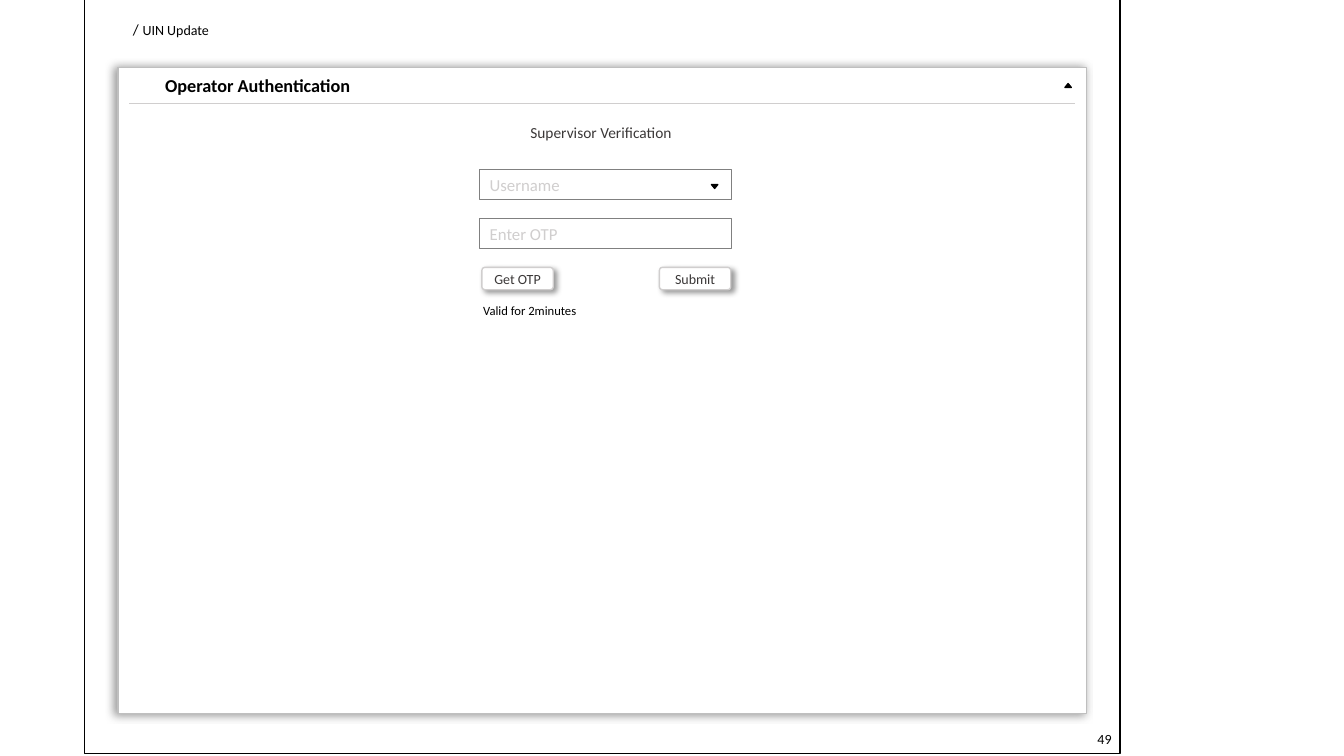
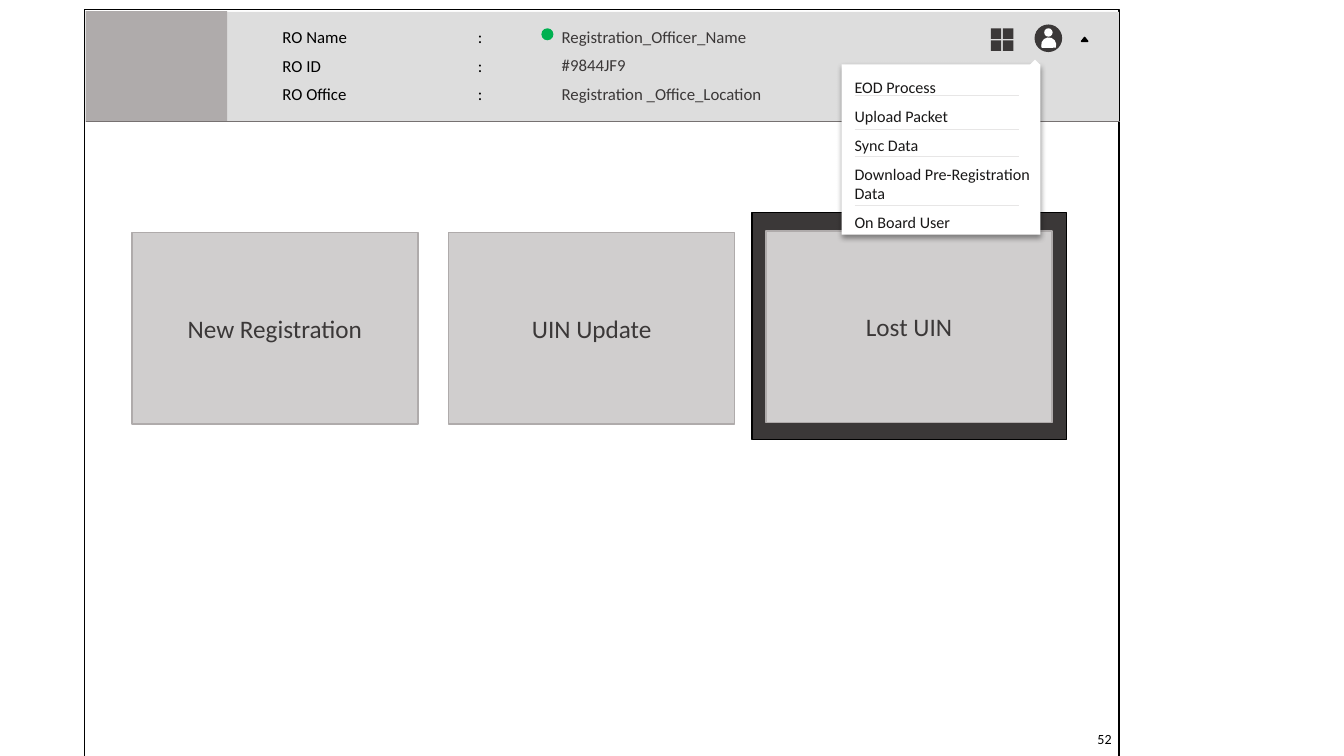
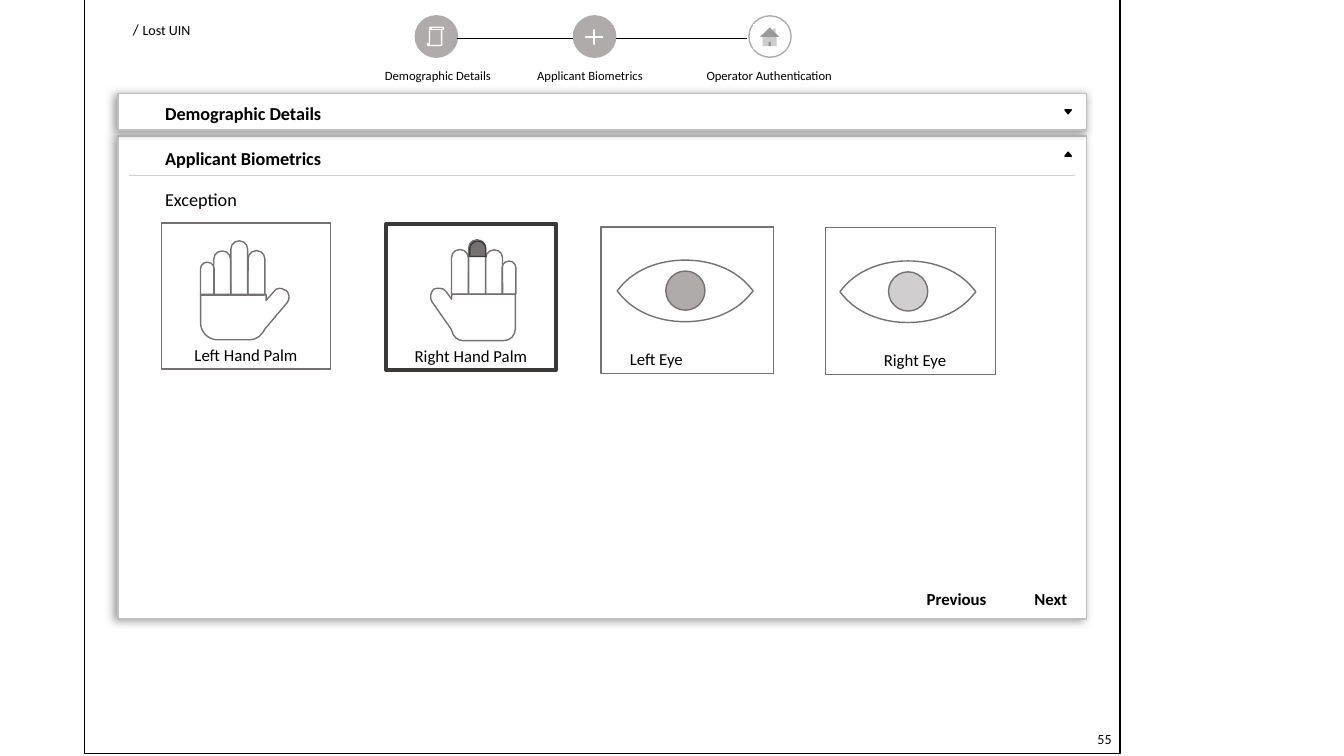
import pptx
import pptx.util
import pptx.dml.color
import pptx.enum.shapes
import pptx.enum.text
import pptx.oxml.ns
import lxml.etree

Pt = pptx.util.Pt
SHAPE = pptx.enum.shapes.MSO_SHAPE
ALIGN = pptx.enum.text.PP_ALIGN
ANCHOR = pptx.enum.text.MSO_ANCHOR
FIT = pptx.enum.text.MSO_AUTO_SIZE
qn = pptx.oxml.ns.qn

FONT = "Calibri"
HEX = {
    "black": "000000", "white": "FFFFFF", "ink": "3B3838", "menu": "181717",
    "stone": "767171", "mid": "AFABAB", "pale": "D0CECE", "edge": "BFBFBF",
    "field": "808080", "band": "DDDDDD", "rule": "E7E6E6", "green": "00B050",
}
SHADE = {
    "panel": ("808080", 80, 6, 2, 170),
    "button": ("000000", 40, 4, 3, 45),
    "menu": ("000000", 40, 4, 2, 90),
}

LEFT_PALM = [
    (84.2, 46.8), (85.7, 46.8, 87.1, 46.8, 88.6, 48.2), (89.3, 48.2),
    (91.4, 50.4, 92.2, 54, 90, 56.9), (74.2, 75.6),
    (72, 79.9, 68.4, 83.5, 63.4, 83.5), (39.6, 83.5),
    (33.1, 83, 28.1, 78, 28.1, 71.3), (28.1, 51.1), (74.9, 51.1),
    (74.9, 55.4), (80.6, 49), (81.4, 47.5, 82.8, 46.8, 84.2, 46.8),
]
RIGHT_PALM = [
    (38.2, 46.1), (39.6, 46.1, 41.8, 46.8, 42.5, 48.2), (46.8, 54),
    (46.8, 50.4), (92.2, 50.4), (92.2, 74.9),
    (92.2, 79.9, 88.6, 83.5, 84.2, 83.5), (54.7, 83.5),
    (51.1, 83.5, 47.5, 80.6, 46.8, 76.3), (46.1, 74.9), (32.4, 55.4),
    (31, 52.6, 31.7, 49, 33.8, 46.8), (35.3, 46.1, 36.7, 46.1, 38.2, 46.1),
]
LIDS = [
    (48.6, 0), (68, 0, 85, 7.2, 95, 19.4), (97.2, 22), (95, 24.6),
    (85, 36.8, 68, 44, 48.6, 44), (29.2, 44, 12.2, 36.8, 2.2, 24.6),
    (0, 22), (2.2, 19.4), (12.2, 7.2, 29.2, 0, 48.6, 0),
]


def rgb(name):
    """Return a named colour."""
    return pptx.dml.color.RGBColor.from_string(HEX[name])


def paint(shape, fill, line, width):
    """Set fill and outline, and drop the theme shadow."""
    if fill:
        shape.fill.solid()
        shape.fill.fore_color.rgb = rgb(fill)
    else:
        shape.fill.background()
    if line:
        shape.line.color.rgb = rgb(line)
        shape.line.width = Pt(width)
    else:
        shape.line.fill.background()
    shape.shadow.inherit = False


def shade(shape, name):
    """Give a shape one of the shared shadows."""
    tint, alpha, blur, dist, angle = SHADE[name]
    host = shape.element.spPr.find(qn("a:effectLst"))
    cast = lxml.etree.SubElement(
        host, qn("a:outerShdw"), blurRad=str(Pt(blur)), dist=str(Pt(dist)),
        dir=str(angle * 60000), algn="ctr", rotWithShape="0")
    color = lxml.etree.SubElement(cast, qn("a:srgbClr"), val=tint)
    lxml.etree.SubElement(color, qn("a:alpha"), val=str(alpha * 1000))


def draw(slide, kind, box, fill=None, line=None, width=1, turn=0, adjust=(), cast=None):
    """Add a preset shape."""
    shape = slide.shapes.add_shape(kind, *map(Pt, box))
    paint(shape, fill, line, width)
    shape.rotation = turn
    for i, value in enumerate(adjust):
        shape.adjustments[i] = value
    if cast:
        shade(shape, cast)
    return shape


def trace(slide, left, top, steps, line):
    """Draw a closed outline of lines and true curves from a corner."""
    spots = [(Pt(left + x), Pt(top + y))
             for step in steps for x, y in zip(step[::2], step[1::2])]
    pen = slide.shapes.build_freeform(*spots[0])
    pen.add_line_segments(spots[1:], close=True)
    shape = pen.convert_to_shape()
    paint(shape, None, line, 1)
    marks = iter(list(shape.element.spPr.iter(qn("a:lnTo"))))
    for step in steps[1:]:
        mark = next(marks)
        if len(step) == 6:
            curve = lxml.etree.Element(qn("a:cubicBezTo"))
            mark.addprevious(curve)
            for part in (mark, next(marks), next(marks)):
                curve.append(part[0])
                part.getparent().remove(part)


def rule(slide, x1, x2, y, color):
    """Add a thin level line."""
    line = slide.shapes.add_connector(
        pptx.enum.shapes.MSO_CONNECTOR.STRAIGHT, Pt(x1), Pt(y), Pt(x2), Pt(y))
    line.line.color.rgb = rgb(color)
    line.line.width = Pt(0.5)
    lxml.etree.SubElement(line.element.spPr, qn("a:effectLst"))


def write(part, words, size, color="black", bold=False):
    """Add one run to a paragraph."""
    run = part.add_run()
    run.text = words
    run.font.name = FONT
    run.font.size = Pt(size)
    run.font.bold = bold
    run.font.color.rgb = rgb(color)


def label(slide, box, words, size, color="black", bold=False, align=ALIGN.LEFT,
          wrap=True):
    """Add a text box with one run."""
    frame = slide.shapes.add_textbox(*map(Pt, box)).text_frame
    frame.word_wrap = wrap
    frame.auto_size = FIT.SHAPE_TO_FIT_TEXT
    frame.paragraphs[0].alignment = align
    write(frame.paragraphs[0], words, size, color, bold)
    return frame


def fill_in(shape, words, size, color, align=ALIGN.CENTER):
    """Write inside a shape."""
    frame = shape.text_frame
    frame.word_wrap = True
    frame.vertical_anchor = ANCHOR.MIDDLE
    frame.paragraphs[0].alignment = align
    write(frame.paragraphs[0], words, size, color)


def place(shape, box):
    """Move a placeholder to a box."""
    shape.left, shape.top, shape.width, shape.height = map(Pt, box)
    shape.text_frame.auto_size = FIT.SHAPE_TO_FIT_TEXT
    shape.text_frame.vertical_anchor = ANCHOR.TOP


def arrow(slide, left, top, down=False):
    """Draw a small fold arrow."""
    draw(slide, SHAPE.ISOSCELES_TRIANGLE, (left, top, 4.5, 2.8), "black", "black",
         turn=180 if down else 0)


def page(slide, box, number):
    """Draw the window edge and the page number."""
    draw(slide, SHAPE.RECTANGLE, box, line="black")
    label(slide, (776.8, 518.5, 34.5, 19.5), number, 10)


def crumb(slide, words, width):
    """Use the title as the trail at the top left."""
    title = slide.shapes.title
    place(title, (87.7, 10, width, 21.5))
    title.text_frame.word_wrap = False
    part = title.text_frame.paragraphs[0]
    part.alignment = ALIGN.LEFT
    for piece, size in (("/", 11), (" ", 12), (words, 10)):
        write(part, piece, size)


def panel(slide, box, words, head, tip, rest=None):
    """Draw a folding panel; rest is the depth of its rule."""
    left, top, wide, _ = box
    draw(slide, SHAPE.ROUNDED_RECTANGLE, box, "white", "edge", adjust=(0,), cast="panel")
    label(slide, (left + 26.7, top + head, 160.5, 23), words, 13, bold=True)
    arrow(slide, left + 676.5, top + tip, down=rest is None)
    if rest:
        rule(slide, left + 8, left + wide - 8, top + rest, "pale")


def form(slide, left, top):
    """Draw the sign-in form."""
    label(slide, (left + 29, top - 36.5, 116.5, 21), "Supervisor Verification", 11,
          "ink", wrap=False)
    for i, hint in enumerate(("Username", "Enter OTP")):
        field = draw(slide, SHAPE.RECTANGLE, (left, top + 35 * i, 180, 21.6), line="field")
        fill_in(field, hint, 12, "pale", ALIGN.LEFT)
    arrow(slide, left + 165.5, top + 10.8, down=True)
    for x, name in ((1.5, "Get OTP"), (128.3, "Submit")):
        button = draw(slide, SHAPE.ROUNDED_RECTANGLE, (left + x, top + 70, 51, 16),
                      "white", "pale", adjust=(0.14,), cast="button")
        fill_in(button, name, 10, "ink")
    label(slide, (left - 4.7, top + 91.5, 96, 18), "Valid for 2minutes", 9)


def header(slide, left, top):
    """Draw the officer band with its icons."""
    draw(slide, SHAPE.RECTANGLE, (left + 0.7, top + 0.5, 737.3, 78.5), "band")
    draw(slide, SHAPE.RECTANGLE, (left, top, 101, 79), "mid")
    rule(slide, left, left + 739, top + 79, "stone")
    rows = (("RO Name", "Registration_Officer_Name", 152.5, 7.6, 7.4),
            ("RO ID", "#9844JF9", 65.5, 28.3, 27.4),
            ("RO Office", "Registration _Office_Location", 163.5, 48.3, 48.3))
    for name, value, wide, drop, level in rows:
        key = label(slide, (left + 128.9, top + drop, 163.5, 21.5), name + "\t\t:", 12,
                    wrap=False)
        key.paragraphs[0]._p.get_or_add_pPr().set("defTabSz", str(Pt(69.8)))
        entry = label(slide, (left + 328.3, top + level, wide, 21.5), value, 12, "ink",
                      wrap=False)
        for frame in (key, entry):
            frame.margin_left = Pt(11.7)
    draw(slide, SHAPE.OVAL, (left + 325.5, top + 12.2, 8.6, 8.6), "green")
    for i in range(4):
        x, y = i % 2 * 8.7, i // 2 * 8.7
        draw(slide, SHAPE.RECTANGLE, (left + 646.5 + x, top + 12.2 + y, 7.5, 7.5), "ink")
    draw(slide, SHAPE.OVAL, (left + 678.3, top + 10, 18.7, 18.7), "ink", "ink")
    draw(slide, SHAPE.OVAL, (left + 684.7, top + 12.2, 6, 6), "white")
    draw(slide, SHAPE.CHORD, (left + 682.5, top + 18.7, 10.8, 10.8), "white", turn=111.5)
    arrow(slide, left + 711.3, top + 18.7)


def menu(slide, left, top):
    """Draw the open menu, listed in the body placeholder."""
    draw(slide, SHAPE.RECTANGLE, (left, top, 142, 121.7), "white", cast="menu")
    draw(slide, SHAPE.RECTANGLE, (left + 134, top - 3, 5, 9.5), "white", turn=45)
    body = slide.placeholders[1]
    slide.shapes._spTree.append(body.element)
    place(body, (left + 2, top - 1.5, 142, 124))
    frame = body.text_frame
    names = ("EOD Process", "Upload Packet", "Sync Data",
             "Download Pre-Registration", "Data", "On Board User")
    for i, name in enumerate(names):
        part = frame.add_paragraph() if i else frame.paragraphs[0]
        part.line_spacing = 1.0 if name == "Data" else 1.5
        part.space_before = Pt(0)
        props = part._p.get_or_add_pPr()
        props.set("marL", "0")
        props.set("indent", "0")
        lxml.etree.SubElement(props, qn("a:buNone"))
        write(part, name, 11.5, "menu")
    for drop in (22.3, 46.2, 66, 101):
        rule(slide, left + 9.4, left + 126.7, top + drop, "rule")


def tiles(slide, left, top):
    """Draw the three tasks, the last one chosen."""
    draw(slide, SHAPE.RECTANGLE, (left + 443, top - 14.4, 224.5, 162), "ink", "black")
    for x, y, name in ((0, 0, "New Registration"), (226.3, 0, "UIN Update"),
                       (453, -1.2, "Lost UIN")):
        tile = draw(slide, SHAPE.RECTANGLE, (left + x, top + y, 204.3, 136.8), "pale", "mid")
        fill_in(tile, name, 18, "ink")


def steps(slide, left, top):
    """Draw the three progress steps."""
    for x, fill in ((0, "mid"), (113, "mid"), (238.3, "white")):
        draw(slide, SHAPE.OVAL, (left + x, top, 30.2, 29.6), fill, "mid")
    for x1, x2 in ((30.2, 113), (143.2, 237)):
        rule(slide, left + x1, left + x2, top + 16, "black")
    draw(slide, SHAPE.VERTICAL_SCROLL, (left + 8.8, top + 8.2, 11.5, 13), "mid", "white")
    draw(slide, SHAPE.MATH_PLUS, (left + 119.7, top + 8.2, 16.5, 13.7), "white", "white",
         adjust=(0.04,))
    draw(slide, SHAPE.ACTION_BUTTON_HOME, (left + 241.3, top + 6, 23.8, 18), "white")
    for x, wide, name in ((-28.7, 94.5, "Demographic Details"),
                          (80, 96, "Applicant Biometrics"),
                          (201, 105, "Operator Authentication")):
        label(slide, (left + x, top + 33.4, wide, 18), name, 9)


def card(slide, box, name, shift=0, line="stone", width=1):
    """Frame one body part and name it."""
    left, top, _, _ = box
    draw(slide, SHAPE.FLOWCHART_PROCESS, box, line=line, width=width)
    label(slide, (left + shift, top + 83.5, 121, 21.5), name, 12, align=ALIGN.CENTER)


def hand(slide, box, palm, flip=False):
    """Draw a hand in its card; flip puts the thumb on the left."""
    left, top, wide, _ = box
    base = 50.2 if flip else 51.6
    for x, broad, tall in ((28, 9.8, 23.5), (37.5, 12, 31.5), (49.7, 12, 38.7), (62, 12, 31.7)):
        spot = wide - x - broad - 0.6 if flip else x
        draw(slide, SHAPE.ROUND_2_SAME_RECTANGLE,
             (left + spot, top + base - tall, broad, tall),
             line="stone", adjust=(0.48, 0.03))
    trace(slide, left, top, palm, "stone")


def eye(slide, left, top, fill):
    """Draw an eye."""
    trace(slide, left, top, LIDS, "stone")
    draw(slide, SHAPE.OVAL, (left + 34.8, top + 7.8, 28, 28), fill, "stone")


def scans(slide, left, top):
    """Draw the hand and eye cards."""
    first = (left, top, 121, 104.5)
    second = (left + 160.7, top + 0.6, 121.2, 104.5)
    third = (left + 314, top + 3, 123.4, 104.5)
    fourth = (left + 474.6, top + 3.6, 121.2, 104.5)
    hand(slide, first, LEFT_PALM)
    card(slide, first, "Left Hand Palm")
    hand(slide, second, RIGHT_PALM, flip=True)
    card(slide, second, "Right Hand Palm", line="ink", width=3)
    draw(slide, SHAPE.ROUND_2_SAME_RECTANGLE, (left + 220.3, top + 13, 11.5, 11),
         "stone", "ink", adjust=(0.5, 0))
    card(slide, third, "Left Eye", shift=-20.9)
    eye(slide, third[0] + 11.6, third[1] + 23.6, "mid")
    card(slide, fourth, "Right Eye", shift=3.3, width=0.75)
    eye(slide, fourth[0] + 10.1, fourth[1] + 23.6, "pale")


def sign_in(slide):
    """Build the operator sign-in slide."""
    panel(slide, (84.2, 48.2, 692, 461.5), "Operator Authentication", 1.5, 11.5, 25.3)
    page(slide, (60.5, -1.5, 739.5, 539.8), "49")
    form(slide, 342.7, 121)
    crumb(slide, "UIN Update", 69.8)


def home(slide):
    """Build the home slide with its menu open."""
    title = slide.shapes.title.element
    title.getparent().remove(title)
    page(slide, (60.5, 7, 738.9, 534.2), "52")
    tiles(slide, 94.2, 166.2)
    header(slide, 61.2, 8)
    menu(slide, 601.2, 46)


def scan(slide):
    """Build the biometrics slide."""
    panel(slide, (84.2, 97.2, 692, 345), "Applicant Biometrics", 4.3, 11.5, 28)
    panel(slide, (84.2, 67, 692, 25.8), "Demographic Details", 2.8, 11.5)
    page(slide, (60.5, -1.5, 739.5, 539.8), "55")
    steps(slide, 296.6, 11.3)
    label(slide, (110.9, 131, 160.5, 23), "Exception", 13)
    scans(slide, 115.2, 159.2)
    for x, wide, name in ((654.5, 57.6, "Previous"), (731.5, 38.2, "Next")):
        label(slide, (x, 417, wide, 21.5), name, 12, bold=True, align=ALIGN.CENTER, wrap=False)
    crumb(slide, "Lost UIN", 56.2)


deck = pptx.Presentation()
deck.slide_width, deck.slide_height = Pt(960), Pt(540)
for build, layout in ((sign_in, 5), (home, 1), (scan, 5)):
    build(deck.slides.add_slide(deck.slide_layouts[layout]))
deck.save("out.pptx")
